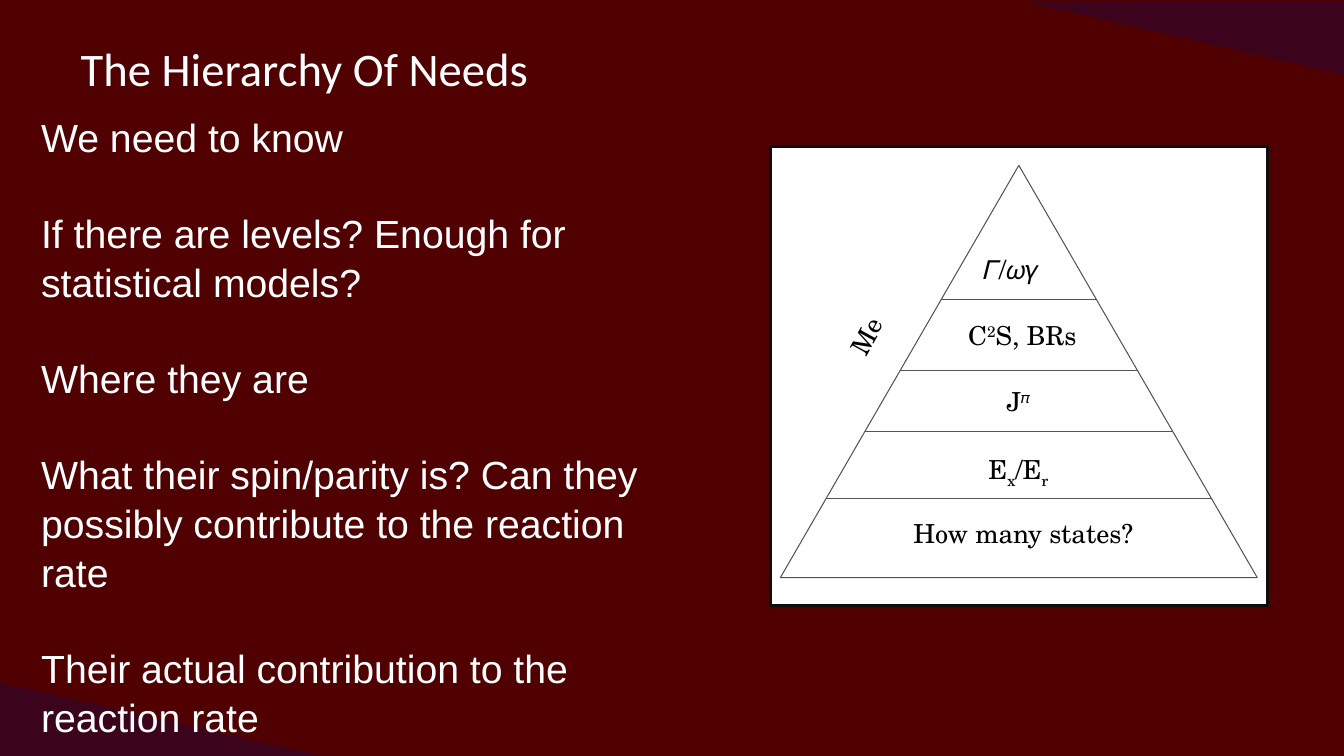
import pptx
import pptx.util
import pptx.dml.color
import pptx.enum.shapes
import pptx.enum.text
import pptx.oxml.ns
import lxml.etree

Inches, Pt = pptx.util.Inches, pptx.util.Pt
RGBColor = pptx.dml.color.RGBColor
SHAPE = pptx.enum.shapes.MSO_SHAPE
ALIGN = pptx.enum.text.PP_ALIGN

MAROON = RGBColor(0x50, 0x00, 0x00)
PLUM = RGBColor(0x3C, 0x04, 0x1C)
WHITE = RGBColor(0xFF, 0xFF, 0xFF)
BLACK = RGBColor(0x00, 0x00, 0x00)
FRAME = RGBColor(0x0E, 0x0E, 0x0E)
GREY = RGBColor(0x56, 0x52, 0x52)

PAGE_WIDTH, PAGE_HEIGHT = 13.33, 7.5
SERIF = "TeX Gyre Schola"
SUPER, SUB = 30000, -25000

# Label centre, top and width, then its (text, baseline) spans
LEVELS = [
    (10.03, 2.38, 1.07, [("𝛤/𝜔𝛾", 0)]),
    (10.14, 3.04, 1.49, [("C", 0), ("2", SUPER), ("S, BRs", 0)]),
    (10.1, 3.69, 2.27, [("J", 0), ("𝜋", SUPER)]),
    (10.1, 4.37, 3.7, [("E", 0), ("x", SUB), ("/E", 0), ("r", SUB)]),
    (10.15, 5.0, 3.7, [("How many states?", 0)]),
]
DIVIDERS = [2.97, 3.68, 4.28, 4.95]
QUESTIONS = [
    "We need to know",
    "If there are levels? Enough for statistical models?",
    "Where they are",
    "What their spin/parity is? Can they possibly contribute to the reaction rate",
    "Their actual contribution to the reaction rate",
]


def add_shape(page, kind, box, fill=None, line=None, weight=0.75):
    shape = page.shapes.add_shape(kind, *map(Inches, box))
    shape.shadow.inherit = False
    if fill is None:
        shape.fill.background()
    else:
        shape.fill.solid()
        shape.fill.fore_color.rgb = fill
    if line is None:
        shape.line.fill.background()
    else:
        shape.line.color.rgb = line
        shape.line.width = Pt(weight)
    return shape


def add_text_frame(page, box, inset=0.13):
    textbox = page.shapes.add_textbox(*map(Inches, box))
    frame = textbox.text_frame
    frame.word_wrap = True
    frame.margin_left = frame.margin_right = Inches(inset)
    frame.margin_top = frame.margin_bottom = Inches(inset)
    return textbox, frame


def style(font, name, size, color):
    font.name = name
    font.size = Pt(size)
    font.color.rgb = color


def add_backdrop(page, box):
    left, top, width, height = box
    corner_width, corner_height = 3.19, 0.73
    add_shape(page, SHAPE.RECTANGLE, box, MAROON)
    add_shape(page, SHAPE.RIGHT_TRIANGLE,
              (left, top + height - corner_height, corner_width, corner_height), PLUM)
    corner = add_shape(page, SHAPE.RIGHT_TRIANGLE,
                       (left + width - corner_width, top + 0.01, corner_width, corner_height), PLUM)
    corner.rotation = 180


def add_title(page, box):
    frame = add_text_frame(page, box)[1]
    frame.text = "The Hierarchy Of Needs"
    style(frame.paragraphs[0].runs[0].font, "Calibri", 33.3, WHITE)


def add_label(page, box, spans, align=ALIGN.CENTER):
    textbox, frame = add_text_frame(page, box)
    para = frame.paragraphs[0]
    para.alignment = align
    for text, baseline in spans:
        span = para.add_run()
        span.text = text
        style(span.font, SERIF, 18.7, BLACK)
        if baseline:
            span._r.get_or_add_rPr().set("baseline", str(baseline))
    return textbox


def add_divider(page, left, right, height):
    line = page.shapes.add_connector(pptx.enum.shapes.MSO_CONNECTOR.STRAIGHT,
                                     Inches(left), Inches(height), Inches(right), Inches(height))
    line.line.color.rgb = GREY
    line.line.width = Pt(0.75)
    lxml.etree.SubElement(line._element.spPr, pptx.oxml.ns.qn("a:effectLst"))


def add_pyramid(page, box):
    left, top, width, height = box
    # White panel and triangle
    add_shape(page, SHAPE.RECTANGLE, box, WHITE, FRAME, 2)
    tip, tall, wide = top + 0.19, 4.09, width - 0.2
    add_shape(page, SHAPE.ISOSCELES_TRIANGLE, (left + 0.1, tip, wide, tall), line=GREY)

    # Dividers end on the sloping sides
    middle = left + width / 2
    for offset in (height_on_page - top for height_on_page in DIVIDERS):
        reach = (top + offset - tip) / tall * wide / 2
        add_divider(page, middle - reach, middle + reach, top + offset)

    # Level labels and the slanted one beside the slope
    for centre, label_top, label_width, spans in LEVELS:
        add_label(page, (centre - label_width / 2, label_top, label_width, 0.58), spans)
    slanted = add_label(page, (left + 0.37, top + 1.14, 1.66, 0.58), [("Me", 0)], ALIGN.LEFT)
    slanted.rotation = 298.8


def add_questions(page, box):
    textbox, frame = add_text_frame(page, box)
    frame.margin_left = frame.margin_right = Inches(0.1)
    frame.margin_top = frame.margin_bottom = Inches(0.05)
    frame.text = "\n".join(QUESTIONS)
    for index, para in enumerate(frame.paragraphs):
        para.line_spacing = 1.045
        if index:
            para.space_before = Pt(33.6)
        style(para.runs[0].font, "Arial", 28, WHITE)


def main():
    deck = pptx.Presentation()
    deck.slide_width, deck.slide_height = Inches(PAGE_WIDTH), Inches(PAGE_HEIGHT)
    page = deck.slides.add_slide(deck.slide_layouts[6])
    add_backdrop(page, (0, 0, PAGE_WIDTH, PAGE_HEIGHT))
    add_title(page, (0.67, 0.27, 8.37, 0.87))
    add_pyramid(page, (7.64, 1.45, 4.93, 4.56))
    add_questions(page, (0.31, 1.06, 6.36, 6.23))
    deck.save("out.pptx")


if __name__ == "__main__":
    main()
